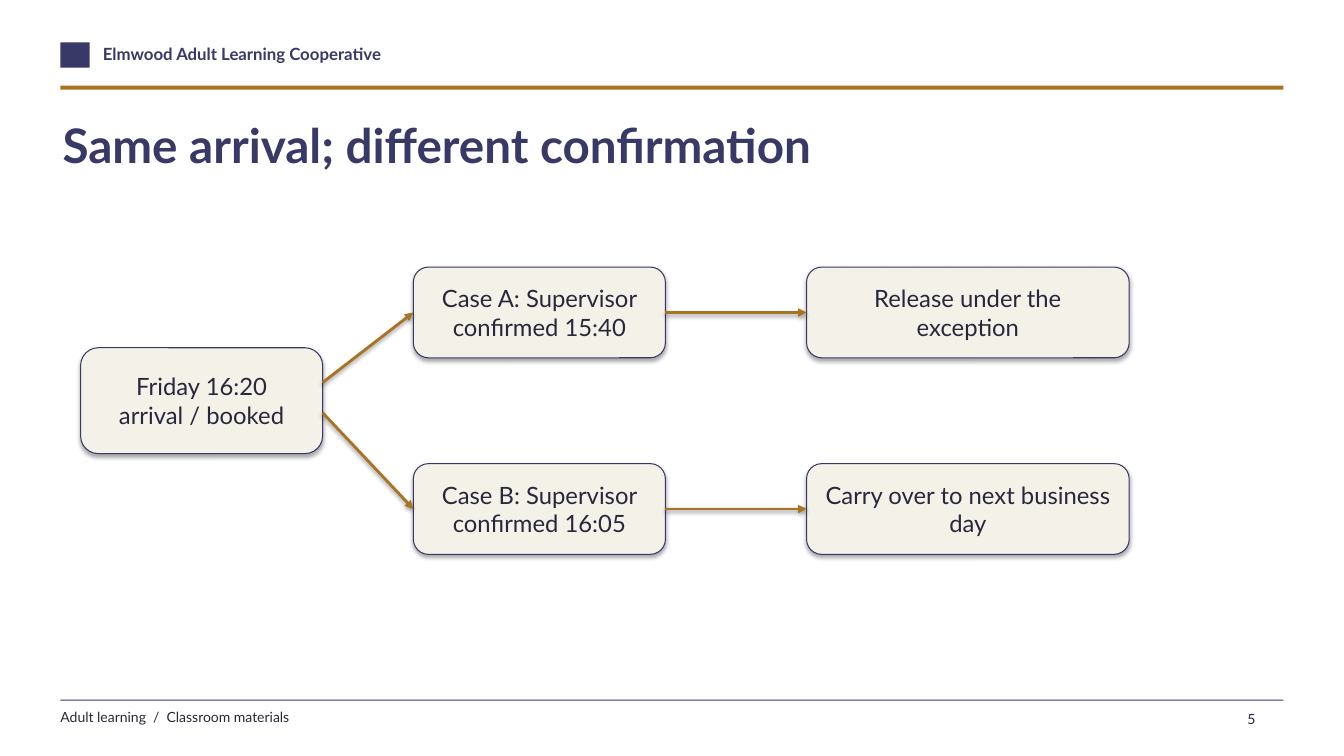
from pptx import Presentation
from pptx.dml.color import RGBColor
from pptx.enum.shapes import MSO_CONNECTOR as Connector, MSO_SHAPE as Shape
from pptx.enum.text import MSO_ANCHOR as Anchor, MSO_AUTO_SIZE as AutoSize, PP_ALIGN as Align
from pptx.oxml import parse_xml
from pptx.oxml.ns import nsdecls
from pptx.util import Pt

PX = 9144  # 100 px to the inch
NAVY, GOLD, INK, CREAM, WHITE = "393967", "A87323", "29283A", "F4F1E9", "FFFFFF"
TOP, RIGHT, LEFT = 0, 3, 1


def px(*lengths):
    return [length * PX for length in lengths]


def color(value):
    return RGBColor.from_string(value)


def write(frame, text, size=17, ink=INK, bold=False, align=Align.LEFT,
          anchor=Anchor.TOP, inset=None, wrap=True, fit=AutoSize.NONE):
    frame.word_wrap = wrap
    frame.auto_size = fit
    frame.vertical_anchor = anchor
    if inset is not None:
        frame.margin_left = frame.margin_top = inset
        frame.margin_right = frame.margin_bottom = inset
    para = frame.paragraphs[0]
    para.alignment = align
    span = para.add_run()
    span.text = text
    span.font.name = "Lato"
    span.font.size = Pt(size)
    span.font.bold = bold
    span.font.color.rgb = color(ink)


def add_shadow(properties, distance, opacity):
    properties.append(parse_xml(
        f'<a:effectLst {nsdecls("a")}><a:outerShdw blurRad="40000" dist="{distance}" '
        f'dir="5400000" rotWithShape="0"><a:srgbClr val="000000">'
        f'<a:alpha val="{opacity}000"/></a:srgbClr></a:outerShdw></a:effectLst>'))


class FlowSlide:
    def __init__(self, deck):
        self.page = deck.slides.add_slide(deck.slide_layouts[5])
        self.page.background.fill.solid()
        self.page.background.fill.fore_color.rgb = color(WHITE)
        self.shapes = self.page.shapes

    def title(self, text, left, top, width, height):
        title = self.shapes.title
        title.left, title.top, title.width, title.height = px(left, top, width, height)
        write(title.text_frame, text, size=34, ink=NAVY, bold=True, inset=0)

    def text(self, text, left, top, width, height, **style):
        box = self.shapes.add_textbox(*px(left, top, width, height))
        write(box.text_frame, text, fit=AutoSize.SHAPE_TO_FIT_TEXT, **style)

    def bar(self, left, top, width, height, fill):
        bar = self.shapes.add_shape(Shape.RECTANGLE, *px(left, top, width, height))
        bar.shadow.inherit = False
        bar.fill.solid()
        bar.fill.fore_color.rgb = color(fill)
        bar.line.fill.background()

    def step(self, text, left, top, width, height):
        box = self.shapes.add_shape(Shape.ROUNDED_RECTANGLE, *px(left, top, width, height))
        box.fill.solid()
        box.fill.fore_color.rgb = color(CREAM)
        box.line.color.rgb = color(NAVY)
        box.line.width = Pt(0.75)
        add_shadow(box.element.spPr, distance=23000, opacity=35)
        write(box.text_frame, text, align=Align.CENTER, anchor=Anchor.MIDDLE)
        return box

    def arrow(self, source, target, offset=0):
        """Join two boxes; a non-zero offset leaves the source off its middle."""
        start_x = source.left + source.width
        start_y = source.top + source.height // 2 + offset * PX
        line = self.shapes.add_connector(
            Connector.STRAIGHT, start_x, start_y,
            target.left, target.top + target.height // 2)
        if not offset:
            line.begin_connect(source, RIGHT)
        line.end_connect(target, LEFT)
        line.line.color.rgb = color(GOLD)
        line.line.width = Pt(2)
        line.line._get_or_add_ln().append(
            parse_xml(f'<a:tailEnd {nsdecls("a")} type="triangle"/>'))
        add_shadow(line._element.spPr, distance=20000, opacity=38)


def main():
    deck = Presentation()
    deck.slide_width, deck.slide_height = px(1333, 750)
    slide = FlowSlide(deck)

    slide.bar(60, 42, 29, 25, NAVY)
    slide.text("Elmwood Adult Learning Cooperative", 102, 43, 600, 28,
               size=12, ink=NAVY, bold=True, inset=0)
    slide.bar(60, 85, 1213, 4, GOLD)
    slide.bar(60, 694, 1213, 1, NAVY)
    slide.text("Adult learning  /  Classroom materials", 60, 703, 700, 23, size=10, inset=0)
    slide.title("Same arrival; different confirmation", 62, 115, 1200, 105)
    slide.text("5", 1210, 700, 45, 25, size=10, align=Align.RIGHT, wrap=False)

    arrival = slide.step("Friday 16:20 arrival / booked", 80, 345, 240, 105)
    cases = [
        (265, -18, "Case A: Supervisor confirmed 15:40", "Release under the exception"),
        (460, 12, "Case B: Supervisor confirmed 16:05", "Carry over to next business day"),
    ]
    for top, offset, confirmation, outcome in cases:
        case = slide.step(confirmation, 410, top, 250, 90)
        result = slide.step(outcome, 800, top, 320, 90)
        slide.arrow(arrival, case, offset)
        slide.arrow(case, result)

    deck.save("out.pptx")


if __name__ == "__main__":
    main()
